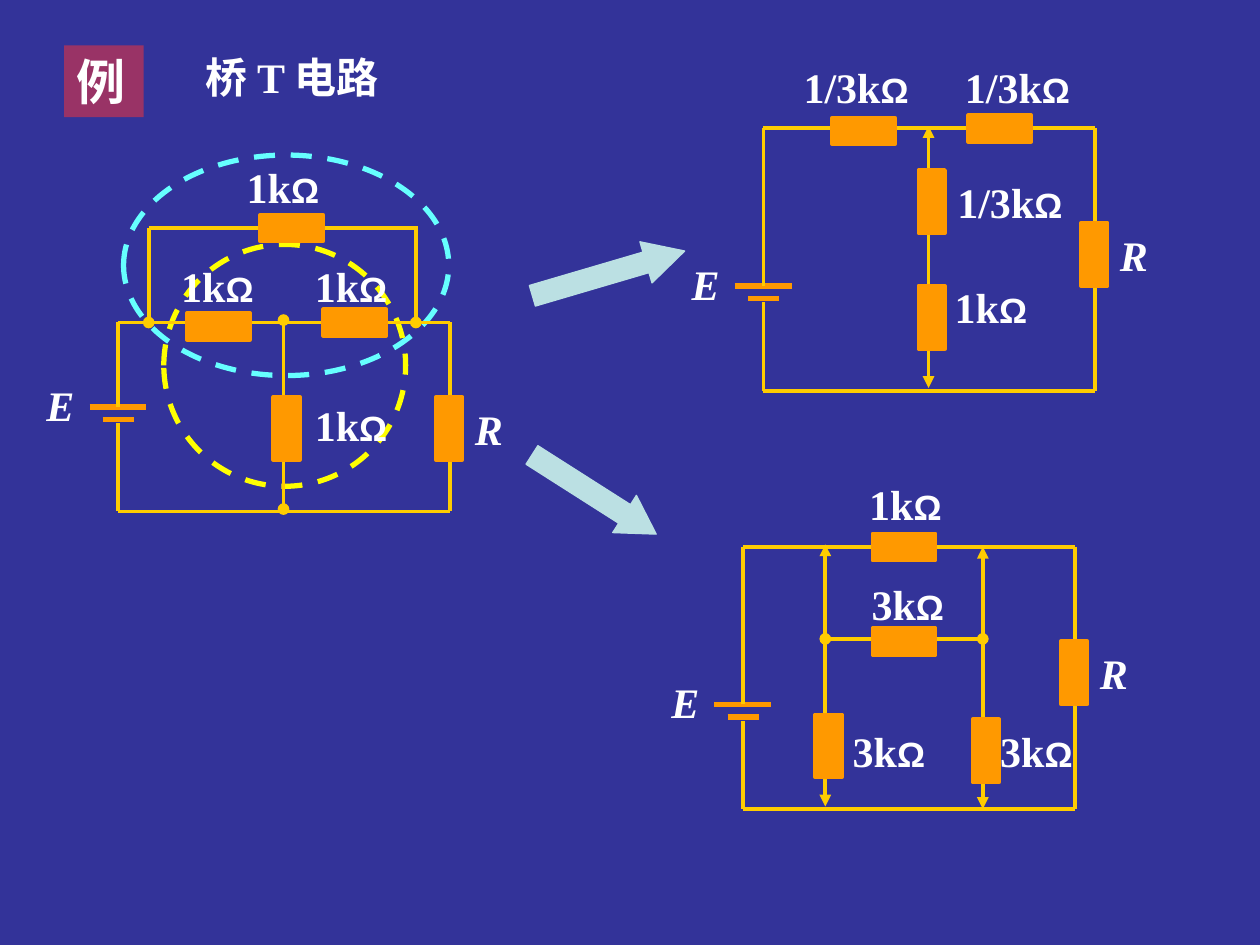
from lxml.etree import SubElement
from pptx import Presentation
from pptx.dml.color import RGBColor
from pptx.enum.dml import MSO_LINE as Dash
from pptx.enum.shapes import MSO_CONNECTOR as Connector, MSO_SHAPE as Shape
from pptx.enum.text import MSO_ANCHOR as Anchor, MSO_AUTO_SIZE as AutoSize, PP_ALIGN as Align
from pptx.oxml.ns import qn
from pptx.util import Pt

WHITE, WIRE, PART = "FFFFFF", "FFCC00", "FF9900"
FRAME_WIDTH = 189.4
LABEL_HEIGHT = 36


def color(value):
    """Turn a hex string into a colour."""
    return RGBColor.from_string(value)


def write(frame, text, size=24, italic=False):
    """Write one bold line into a text frame, with ohm signs in the smaller sans font."""
    frame.word_wrap = True
    frame.auto_size = AutoSize.NONE
    frame.vertical_anchor = Anchor.TOP
    paragraph = frame.paragraphs[0]
    paragraph.alignment = Align.LEFT
    value, ohm, _ = text.partition("Ω")
    for part, font_name, font_size in ((value, "Times New Roman", size), (ohm, "Arial", 20)):
        if part:
            run = paragraph.add_run()
            run.text = part
            run.font.name = font_name
            run.font.size = Pt(font_size)
            run.font.bold = True
            run.font.italic = italic
            run.font.color.rgb = color(WHITE)


def add_block(shapes, kind, box, fill=None, line=None, width=2.25, rotation=0):
    """Add a flat preset shape in the box (left, top, width, height)."""
    shape = shapes.add_shape(kind, *map(Pt, box))
    shape.shadow.inherit = False
    shape.rotation = rotation
    if fill:
        shape.fill.solid()
        shape.fill.fore_color.rgb = color(fill)
    else:
        shape.fill.background()
    if line:
        shape.line.color.rgb = color(line)
        shape.line.width = Pt(width)
    else:
        shape.line.fill.background()
    return shape


class Circuit:
    """A grouped circuit whose parts are placed relative to its frame's top left corner."""

    def __init__(self, slide, left, top, height, battery, load):
        """Draw the outer loop with its battery E and load R at the given depths."""
        self.shapes = slide.shapes.add_group_shape().shapes
        self.left, self.top = left, top
        self.wire(-16.5, battery, 16, battery, line=PART, width=3)
        self.wire(-9, battery + 7.2, 9, battery + 7.2, line=PART, width=3)
        self.wire(0, battery + 9.4, 0, height)
        self.wire(0, battery, 0, 0)
        for depth in (0, height):
            self.wire(0, depth, FRAME_WIDTH, depth)
        self.wire(FRAME_WIDTH, 0, FRAME_WIDTH, height)
        self.resistor(189, load)
        self.label(196.6, load - 18, 25.2, "R", italic=True)
        self.label(-48.2, battery - 19.4, 31, "E", italic=True)

    def wire(self, x1, y1, x2, y2, head=None, tail=None, line=WIRE, width=2.25):
        """Draw a straight wire with optional end marks."""
        connector = self.shapes.add_connector(
            Connector.STRAIGHT, Pt(self.left + x1), Pt(self.top + y1),
            Pt(self.left + x2), Pt(self.top + y2))
        connector.line.color.rgb = color(line)
        connector.line.width = Pt(width)
        properties = connector.element.spPr
        for tag, mark in (("a:headEnd", head), ("a:tailEnd", tail)):
            if mark:
                SubElement(properties.find(qn("a:ln")), qn(tag), type=mark)
        SubElement(properties, qn("a:effectLst"))

    def resistor(self, x, y, rotation=0):
        """Draw a resistor centred on a point."""
        width, height = 15.1, 36
        box = (self.left + x - width / 2, self.top + y - height / 2, width, height)
        add_block(self.shapes, Shape.RECTANGLE, box, PART, PART, rotation=rotation)

    def label(self, x, y, width, text, **style):
        """Write a label whose box starts at a point."""
        box = self.shapes.add_textbox(
            Pt(self.left + x), Pt(self.top + y), Pt(width), Pt(LABEL_HEIGHT))
        write(box.text_frame, text, **style)

    def fill(self, upright, flat, labels):
        """Place the inner resistors and their value labels."""
        for x, y in upright:
            self.resistor(x, y)
        for x, y in flat:
            self.resistor(x, y, rotation=270)
        for x, y, width, text in labels:
            self.label(x, y, width, text)


def draw_star_circuit(slide, left, top):
    """Draw the circuit with the upper triangle turned into a star."""
    circuit = Circuit(slide, left, top, height=149.8, battery=90, load=72)
    circuit.wire(94.3, -1.4, 94.3, 148.3, "triangle", "triangle")
    circuit.fill(
        upright=[(96.1, 41.8), (96.1, 108)],
        flat=[(57.2, 1.4), (135, 0)],
        labels=[(15.8, -41.8, 80, "1/3kΩ"), (108, -41.8, 81.4, "1/3kΩ"),
                (103.7, 23.8, 76.3, "1/3kΩ"), (102.2, 84.2, 62.6, "1kΩ")])


def draw_delta_circuit(slide, left, top):
    """Draw the circuit with the inner star turned into a triangle."""
    circuit = Circuit(slide, left, top, height=149.8, battery=90, load=72)
    circuit.wire(46.8, -1.4, 46.8, 148.3, "triangle", "triangle")
    circuit.wire(136.8, 0, 136.8, 149.8, "triangle", "triangle")
    circuit.wire(46.8, 52.6, 136.8, 52.6, "oval", "oval")
    circuit.fill(
        upright=[(48.6, 113.8), (138.6, 116.6)],
        flat=[(91.8, 0), (91.8, 54)],
        labels=[(64.8, -42.5, 59.8, "1kΩ"), (66.2, 14.4, 69.1, "3kΩ"),
                (55.4, 98.6, 69.1, "3kΩ"), (139.7, 98.6, 69.1, "3kΩ")])


def draw_bridge_circuit(slide, left, top):
    """Draw the bridged T circuit."""
    circuit = Circuit(slide, left, top, height=108, battery=48.2, load=60.5)
    circuit.wire(94.3, -1.4, 94.3, 106.6, "oval", "oval")
    for x in (17.3, 169.9):
        circuit.wire(x, 0, x, -54, "oval")
    circuit.wire(17.3, -54, 171.4, -54)
    circuit.fill(
        upright=[(96.1, 60.5)],
        flat=[(57.2, 2.2), (135, 0), (99, -54)],
        labels=[(x, y, 72, "1kΩ") for x, y in
                ((66.2, -95.8), (28.8, -38.9), (105.1, -38.9), (105.1, 40.3))])


def draw_heading(slide, left, top):
    """Draw the example badge and the title beside it."""
    badge = add_block(slide.shapes, Shape.RECTANGLE, (left, top, 45.4, 41), "993366")
    write(badge.text_frame, "例", size=28)
    title = slide.shapes.title
    title.left, title.top, title.width, title.height = map(Pt, (left + 73.5, top, 136.8, 36))
    write(title.text_frame, "桥 T 电路")


def draw_arrow(slide, box, rotation, head):
    """Draw a turned block arrow with the given head length ratio."""
    arrow = add_block(slide.shapes, Shape.RIGHT_ARROW, box, "BBE0E3", "BBE0E3", 0.75, rotation)
    arrow.adjustments[1] = head


def draw_loop(slide, box, line):
    """Draw a dashed ellipse around a part of the circuit."""
    loop = add_block(slide.shapes, Shape.OVAL, box, line=line, width=3)
    loop.line.dash_style = Dash.DASH


def main():
    """Build and save the slide."""
    presentation = Presentation()
    presentation.slide_width, presentation.slide_height = Pt(720), Pt(540)
    slide = presentation.slides.add_slide(presentation.slide_layouts[5])
    slide.background.fill.solid()
    slide.background.fill.fore_color.rgb = color("333399")
    draw_star_circuit(slide, 436.3, 73.4)
    draw_delta_circuit(slide, 424.8, 312.5)
    draw_arrow(slide, (302.4, 144, 90.7, 24.5), 343.6, 0.94)
    draw_loop(slide, (70.6, 88.6, 185.8, 126), "66FFFF")
    draw_loop(slide, (93.6, 139.7, 138.2, 138.2), "FFFF00")
    draw_heading(slide, 36.7, 26)
    draw_arrow(slide, (297.4, 270, 84.2, 25.2), 32.5, 0.85)
    draw_bridge_circuit(slide, 67.7, 184.3)
    presentation.save("out.pptx")


if __name__ == "__main__":
    main()
